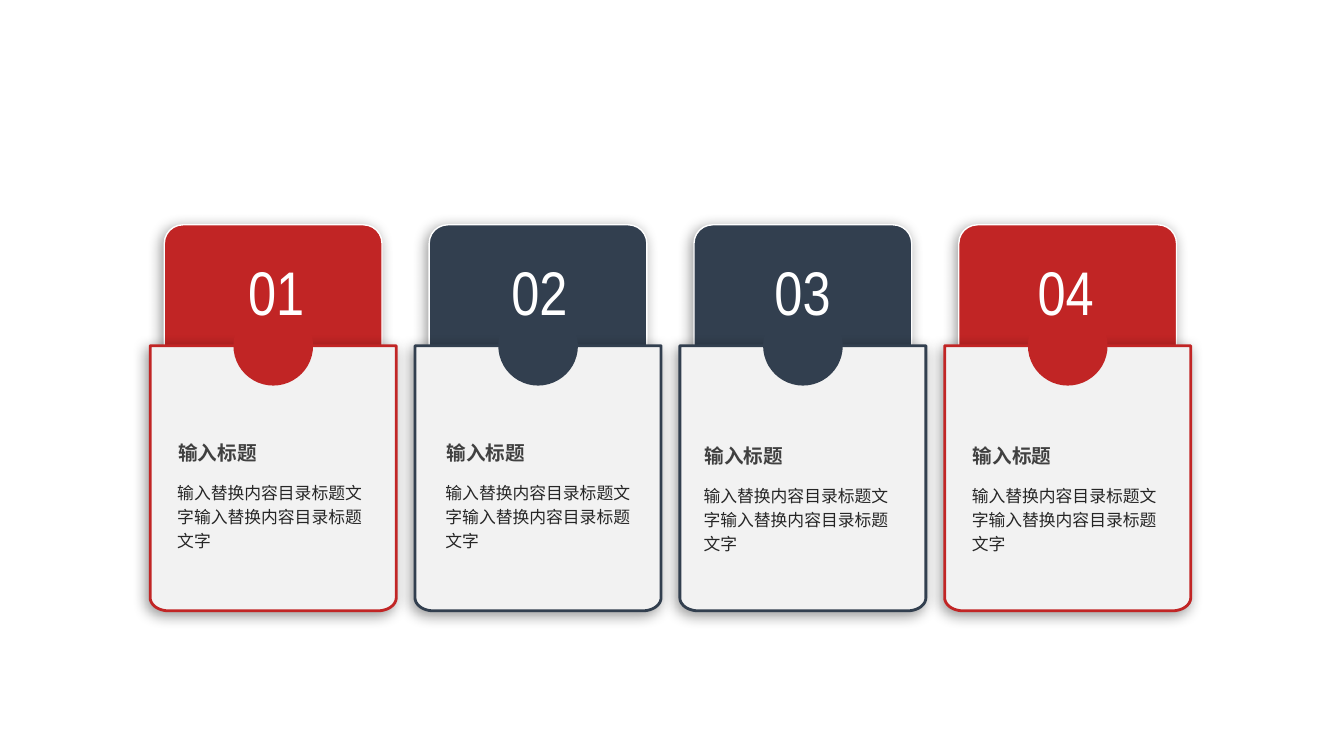
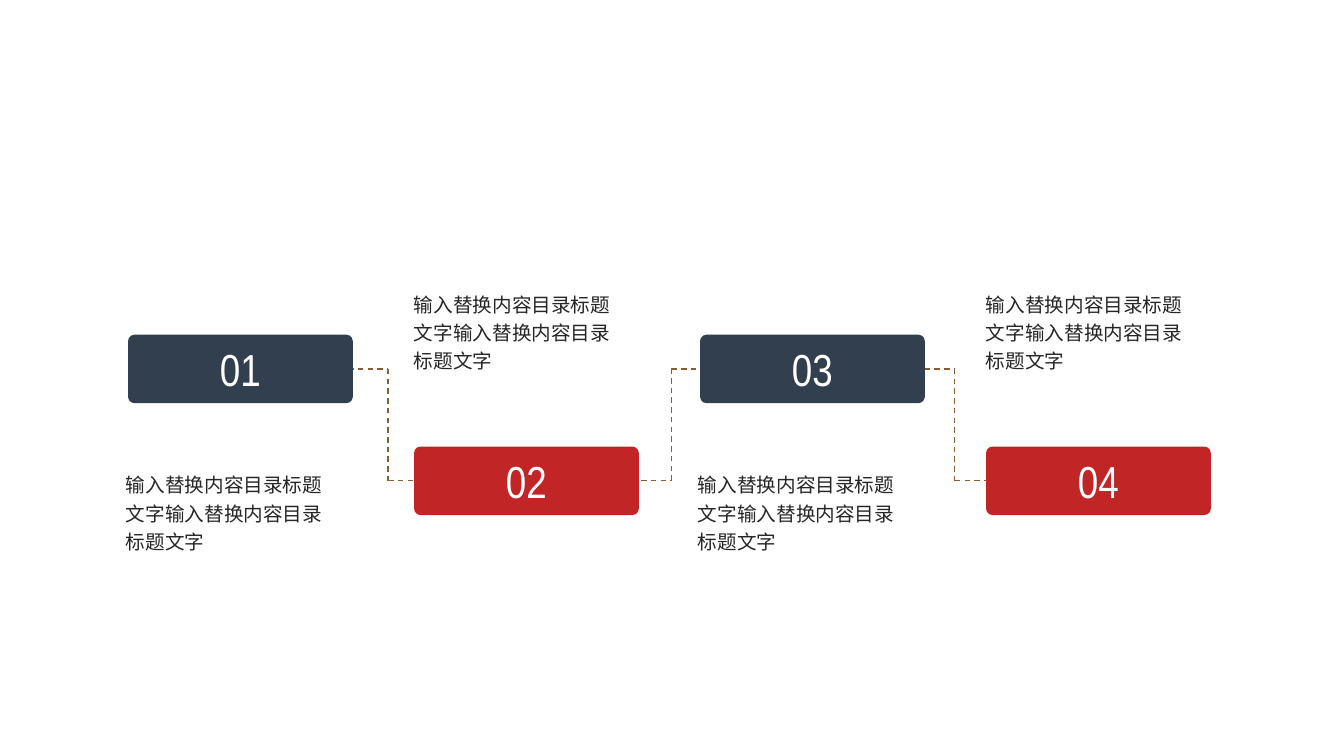
from dataclasses import dataclass
from math import cos, pi, sin

from lxml import etree
from pptx import Presentation, util as u
from pptx.dml.color import RGBColor
from pptx.enum import dml, shapes, text
from pptx.oxml.ns import qn


@dataclass(frozen=True)
class Theme:
    red: str = "C12525"
    navy: str = "323F4F"
    paper: str = "F2F2F2"
    white: str = "FFFFFF"
    heading: str = "404040"
    body: str = "262626"
    path_line: str = "895C33"
    digits: str = "Arial Narrow"
    hanzi: str = "Noto Sans CJK SC"
    card_number: int = 44
    step_number: int = 32
    large: int = 14
    small: int = 12


THEME = Theme()
HEADING = "输入标题"
BODY = "输入替换内容目录标题文字输入替换内容目录标题文字"
Inches = u.Inches


def paint(shape, fill, line=None, width=1, shadow=False):
    """Set fill and outline; optionally cast a soft shadow to the lower left."""
    shape.shadow.inherit = False
    shape.fill.solid()
    shape.fill.fore_color.rgb = RGBColor.from_string(fill)
    if line:
        shape.line.color.rgb = RGBColor.from_string(line)
        shape.line.width = u.Pt(width)
    else:
        shape.line.fill.background()
    if shadow:
        effects = shape._element.spPr.find(qn("a:effectLst"))
        outer = etree.SubElement(
            effects, qn("a:outerShdw"), blurRad=str(u.Pt(10)), dist=str(u.Pt(3)),
            dir="8100000", algn="tr", rotWithShape="0")
        black = etree.SubElement(outer, qn("a:srgbClr"), val="000000")
        etree.SubElement(black, qn("a:alpha"), val="40000")


def write(shape, words, size, color, font, bold=False, centred=False, spacing=None):
    frame = shape.text_frame
    frame.word_wrap = True
    paragraph = frame.paragraphs[0]
    paragraph.alignment = text.PP_ALIGN.CENTER if centred else text.PP_ALIGN.LEFT
    if spacing:
        paragraph.line_spacing = spacing
    run = paragraph.add_run()
    run.text = words
    run.font.size = u.Pt(size)
    run.font.bold = bold
    run.font.name = font
    run.font.color.rgb = RGBColor.from_string(color)
    etree.SubElement(run._r.get_or_add_rPr(), qn("a:ea"), typeface=font)


prs = Presentation()
prs.slide_width, prs.slide_height = Inches(13.33), Inches(7.5)
blank = prs.slide_layouts[6]

# Four pocket cards
cards = prs.slides.add_slide(blank)
CARD_LEFT, CARD_PITCH = 1.49, 7.88 / 3
POCKET_TOP, POCKET_W, POCKET_H = 3.43, 2.44, 2.63
TAB_W, TAB_H, NOTCH = 2.16, 1.99, 0.79
CORNER_W, CORNER_H, CORNER_STEPS = 0.18, 0.13, 12
NUMBER_W, NUMBER_CENTRE, NUMBER_PITCH = 1.2, 2.74, 2.61

for i, (color, text_left, heading_top) in enumerate([
        (THEME.red, 1.66, 4.33), (THEME.navy, 4.32, 4.33),
        (THEME.navy, 6.88, 4.36), (THEME.red, 9.54, 4.36)]):
    left = CARD_LEFT + i * CARD_PITCH
    right, bottom = left + POCKET_W, POCKET_TOP + POCKET_H
    centre = left + POCKET_W / 2
    card = cards.shapes.add_group_shape().shapes

    tab = card.add_shape(
        shapes.MSO_SHAPE.ROUNDED_RECTANGLE,
        *map(Inches, (centre - TAB_W / 2, 2.23, TAB_W, TAB_H)))
    tab.adjustments[0] = 0.093
    paint(tab, color, THEME.white, shadow=True)

    angles = [pi / 2 * step / CORNER_STEPS for step in range(CORNER_STEPS + 1)]
    right_corner = [(right - CORNER_W * (1 - cos(a)), bottom - CORNER_H * (1 - sin(a)))
                    for a in angles]
    left_corner = [(left + right - x, y) for x, y in reversed(right_corner)]
    outline = [(right, POCKET_TOP), *right_corner, *left_corner]
    builder = card.build_freeform(Inches(left), Inches(POCKET_TOP))
    builder.add_line_segments([(Inches(x), Inches(y)) for x, y in outline], close=True)
    paint(builder.convert_to_shape(), THEME.paper, color, width=2, shadow=True)

    notch = card.add_shape(
        shapes.MSO_SHAPE.OVAL,
        *map(Inches, (centre - NOTCH / 2, POCKET_TOP - NOTCH / 2, NOTCH, NOTCH)))
    paint(notch, color)

    number_left = NUMBER_CENTRE + i * NUMBER_PITCH - NUMBER_W / 2
    number = card.add_textbox(*map(Inches, (number_left, 2.47, NUMBER_W, 0.84)))
    write(number, f"{i + 1:02}", THEME.card_number, THEME.white, THEME.digits, centred=True)

    heading = cards.shapes.add_textbox(
        *map(Inches, (text_left + 0.01, heading_top, 2.07, 0.34)))
    write(heading, HEADING, THEME.large, THEME.heading, THEME.hanzi, bold=True)
    body = cards.shapes.add_textbox(
        *map(Inches, (text_left, heading_top + 0.37, 2.07, 0.83)))
    write(body, BODY, THEME.small, THEME.body, THEME.hanzi, spacing=1.2)

# Four steps on two alternating rows
steps = prs.slides.add_slide(blank)
STEP_LEFT, STEP_PITCH = 1.27, 8.51 / 3
STEP_W, STEP_H = 2.23, 0.68
UPPER, LOWER = 3.32, 4.43
UPPER_MIDDLE, LOWER_MIDDLE = UPPER + STEP_H / 2, LOWER + STEP_H / 2
REACH = 0.59
ROWS = [(UPPER, THEME.navy, 4.6, 0.12), (LOWER, THEME.red, 2.81, 0.1)]

for i, bend in enumerate([3.85, 6.66, 9.47]):
    start, end = [(UPPER_MIDDLE, LOWER_MIDDLE), (LOWER_MIDDLE, UPPER_MIDDLE)][i % 2]
    corners = [(bend - REACH, start), (bend, start), (bend, end), (bend + REACH, end)]
    for here, there in zip(corners, corners[1:]):
        segment = steps.shapes.add_connector(
            shapes.MSO_CONNECTOR.STRAIGHT, *map(Inches, here + there))
        segment.line.color.rgb = RGBColor.from_string(THEME.path_line)
        segment.line.width = u.Pt(1)
        segment.line.dash_style = dml.MSO_LINE.DASH
        etree.SubElement(segment._element.spPr, qn("a:effectLst"))

for i in range(4):
    top, color, note_top, outdent = ROWS[i % 2]
    left = STEP_LEFT + i * STEP_PITCH
    step = steps.shapes.add_shape(
        shapes.MSO_SHAPE.ROUNDED_RECTANGLE, *map(Inches, (left, top, STEP_W, STEP_H)))
    step.adjustments[0] = 0.095
    paint(step, color)
    step.text_frame.vertical_anchor = text.MSO_ANCHOR.MIDDLE
    write(step, f"{i + 1:02}", THEME.step_number, THEME.white, THEME.digits, centred=True)

    note = steps.shapes.add_textbox(*map(Inches, (left - outdent, note_top, 2.34, 1.15)))
    write(note, BODY, THEME.large, THEME.body, THEME.hanzi, spacing=1.2)

prs.save("out.pptx")
